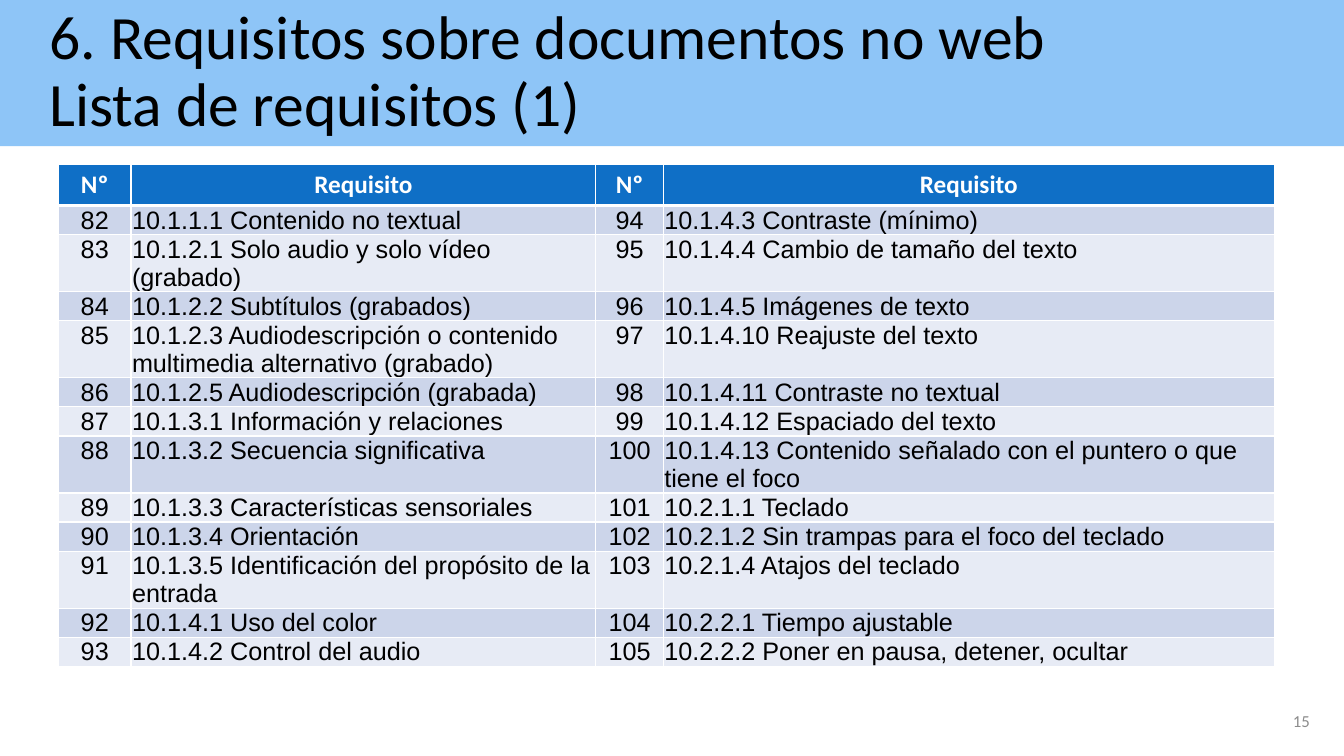
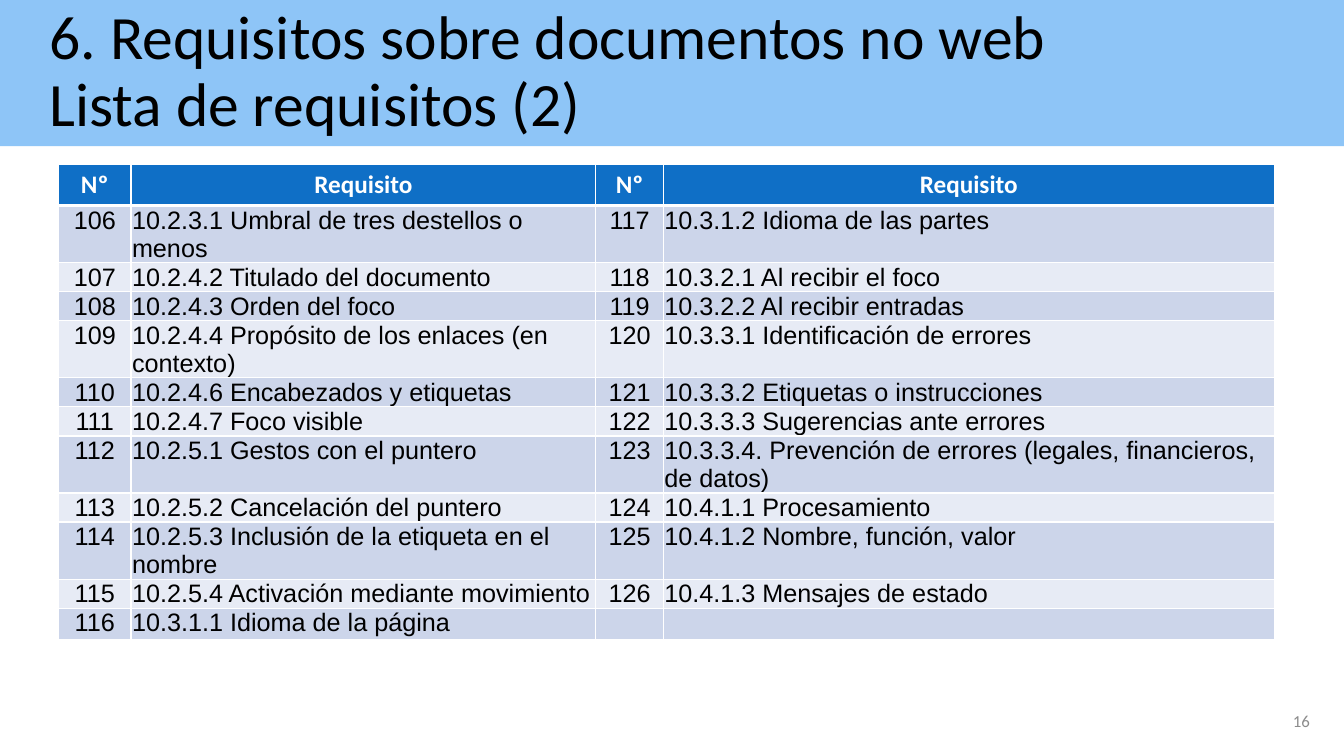
from lxml import etree
from pptx import Presentation
from pptx.dml.color import RGBColor
from pptx.enum.shapes import MSO_SHAPE
from pptx.enum.text import MSO_ANCHOR, PP_ALIGN
from pptx.oxml.ns import qn
from pptx.util import Inches, Pt

RECTANGLE = MSO_SHAPE.RECTANGLE
MIDDLE = MSO_ANCHOR.MIDDLE
LEFT, CENTER, RIGHT = PP_ALIGN.LEFT, PP_ALIGN.CENTER, PP_ALIGN.RIGHT

BLACK, WHITE, GRAY = "000000", "FFFFFF", "8C8C8C"
BAND_BLUE, HEADER_BLUE = "8EC5F7", "0F6FC6"
ROW_FILLS = ("CCD5EA", "E7EBF5")
TITLE_FONT, BODY_FONT = "Calibri", "Arial"

SLIDE_WIDTH, SLIDE_HEIGHT = 13.33, 7.5
COLUMN_WIDTHS = (0.72, 4.61, 0.67, 6.06)
HEADER_HEIGHT, ROW_HEIGHT = 0.41, 0.28
HEADERS = ("Nº", "Requisito", "Nº", "Requisito")

PAGES = [
    {
        "title": "6. Requisitos sobre documentos no web\nLista de requisitos (1)",
        "page": 15,
        "first_number": 82,
        "requirements": [
            "10.1.1.1 Contenido no textual",
            "10.1.2.1 Solo audio y solo vídeo (grabado)",
            "10.1.2.2 Subtítulos (grabados)",
            "10.1.2.3 Audiodescripción o contenido multimedia alternativo (grabado)",
            "10.1.2.5 Audiodescripción (grabada)",
            "10.1.3.1 Información y relaciones",
            "10.1.3.2 Secuencia significativa",
            "10.1.3.3 Características sensoriales",
            "10.1.3.4 Orientación",
            "10.1.3.5 Identificación del propósito de la entrada",
            "10.1.4.1 Uso del color",
            "10.1.4.2 Control del audio",
            "10.1.4.3 Contraste (mínimo)",
            "10.1.4.4 Cambio de tamaño del texto",
            "10.1.4.5 Imágenes de texto",
            "10.1.4.10 Reajuste del texto",
            "10.1.4.11 Contraste no textual",
            "10.1.4.12 Espaciado del texto",
            "10.1.4.13 Contenido señalado con el puntero o que tiene el foco",
            "10.2.1.1 Teclado",
            "10.2.1.2 Sin trampas para el foco del teclado",
            "10.2.1.4 Atajos del teclado",
            "10.2.2.1 Tiempo ajustable",
            "10.2.2.2 Poner en pausa, detener, ocultar",
        ],
    },
    {
        "title": "6. Requisitos sobre documentos no web\nLista de requisitos (2)",
        "page": 16,
        "first_number": 106,
        "requirements": [
            "10.2.3.1 Umbral de tres destellos o menos",
            "10.2.4.2 Titulado del documento",
            "10.2.4.3 Orden del foco",
            "10.2.4.4 Propósito de los enlaces (en contexto)",
            "10.2.4.6 Encabezados y etiquetas",
            "10.2.4.7 Foco visible",
            "10.2.5.1 Gestos con el puntero",
            "10.2.5.2 Cancelación del puntero",
            "10.2.5.3 Inclusión de la etiqueta en el nombre",
            "10.2.5.4 Activación mediante movimiento",
            "10.3.1.1 Idioma de la página",
            "10.3.1.2 Idioma de las partes",
            "10.3.2.1 Al recibir el foco",
            "10.3.2.2 Al recibir entradas",
            "10.3.3.1 Identificación de errores",
            "10.3.3.2 Etiquetas o instrucciones",
            "10.3.3.3 Sugerencias ante errores",
            "10.3.3.4. Prevención de errores (legales, financieros, de datos)",
            "10.4.1.1 Procesamiento",
            "10.4.1.2 Nombre, función, valor",
            "10.4.1.3 Mensajes de estado",
        ],
    },
]


def set_fill(target, color):
    target.fill.solid()
    target.fill.fore_color.rgb = RGBColor.from_string(color)


def set_borders(cell, top, bottom):
    properties = cell._tc.get_or_add_tcPr()
    widths = (("a:lnL", 1), ("a:lnR", 1), ("a:lnT", top), ("a:lnB", bottom))
    for position, (tag, width) in enumerate(widths):
        line = etree.Element(qn(tag), w=str(Pt(width)))
        fill = etree.SubElement(line, qn("a:solidFill"))
        etree.SubElement(fill, qn("a:srgbClr"), val=WHITE)
        properties.insert(position, line)


def write(text_frame, text, font, size, color, alignment, bold=False):
    paragraph = text_frame.paragraphs[0]
    paragraph.text = text
    paragraph.alignment = alignment
    for run in paragraph.runs:
        run.font.name = font
        run.font.size = Pt(size)
        run.font.bold = bold
        run.font.color.rgb = RGBColor.from_string(color)
    return paragraph


def add_title(slide, title):
    band = slide.shapes.add_shape(RECTANGLE, 0, 0, Inches(SLIDE_WIDTH), Inches(1.45))
    band.shadow.inherit = False
    band.line.fill.background()
    set_fill(band, BAND_BLUE)
    text_frame = band.text_frame
    text_frame.word_wrap = True
    text_frame.vertical_anchor = MIDDLE
    text_frame.margin_left = Inches(0.49)
    paragraph = write(text_frame, title, TITLE_FONT, 44, BLACK, LEFT)
    paragraph.line_spacing = 0.9


def add_page_number(slide, page):
    box = slide.shapes.add_textbox(Inches(10.09), Inches(6.95), Inches(3), Inches(0.4))
    box.text_frame.word_wrap = True
    box.text_frame.vertical_anchor = MIDDLE
    write(box.text_frame, str(page), TITLE_FONT, 12, GRAY, RIGHT)


def requirement_rows(first_number, requirements):
    entries = [(str(number), text) for number, text in enumerate(requirements, first_number)]
    half = (len(entries) + 1) // 2
    right_entries = entries[half:] + [("", "")] * (len(entries) % 2)
    return [left + right for left, right in zip(entries[:half], right_entries)]


def add_requirements_table(slide, rows):
    height = HEADER_HEIGHT + ROW_HEIGHT * len(rows)
    table = slide.shapes.add_table(
        len(rows) + 1, len(HEADERS), Inches(0.58), Inches(1.63),
        Inches(sum(COLUMN_WIDTHS)), Inches(height)).table
    for column, width in zip(table.columns, COLUMN_WIDTHS):
        column.width = Inches(width)
    for row in table.rows:
        row.height = Inches(ROW_HEIGHT)
    table.rows[0].height = Inches(HEADER_HEIGHT)

    for column_index, header in enumerate(HEADERS):
        cell = table.cell(0, column_index)
        set_fill(cell, HEADER_BLUE)
        set_borders(cell, 1, 3)
        write(cell.text_frame, header, TITLE_FONT, 18, WHITE, CENTER, bold=True)

    for row_index, texts in enumerate(rows):
        for column_index, text in enumerate(texts):
            cell = table.cell(row_index + 1, column_index)
            set_fill(cell, ROW_FILLS[row_index % 2])
            set_borders(cell, 1 if row_index else 3, 1)
            cell.margin_left = cell.margin_right = cell.margin_top = Inches(0.01)
            cell.margin_bottom = 0
            alignment = LEFT if column_index % 2 else CENTER
            paragraph = write(cell.text_frame, text, BODY_FONT, 18, BLACK, alignment)
            paragraph.line_spacing = Pt(20)


def main():
    presentation = Presentation()
    presentation.slide_width = Inches(SLIDE_WIDTH)
    presentation.slide_height = Inches(SLIDE_HEIGHT)
    for page in PAGES:
        slide = presentation.slides.add_slide(presentation.slide_layouts[6])
        add_title(slide, page["title"])
        add_page_number(slide, page["page"])
        add_requirements_table(
            slide, requirement_rows(page["first_number"], page["requirements"]))
    presentation.save("out.pptx")


if __name__ == "__main__":
    main()
